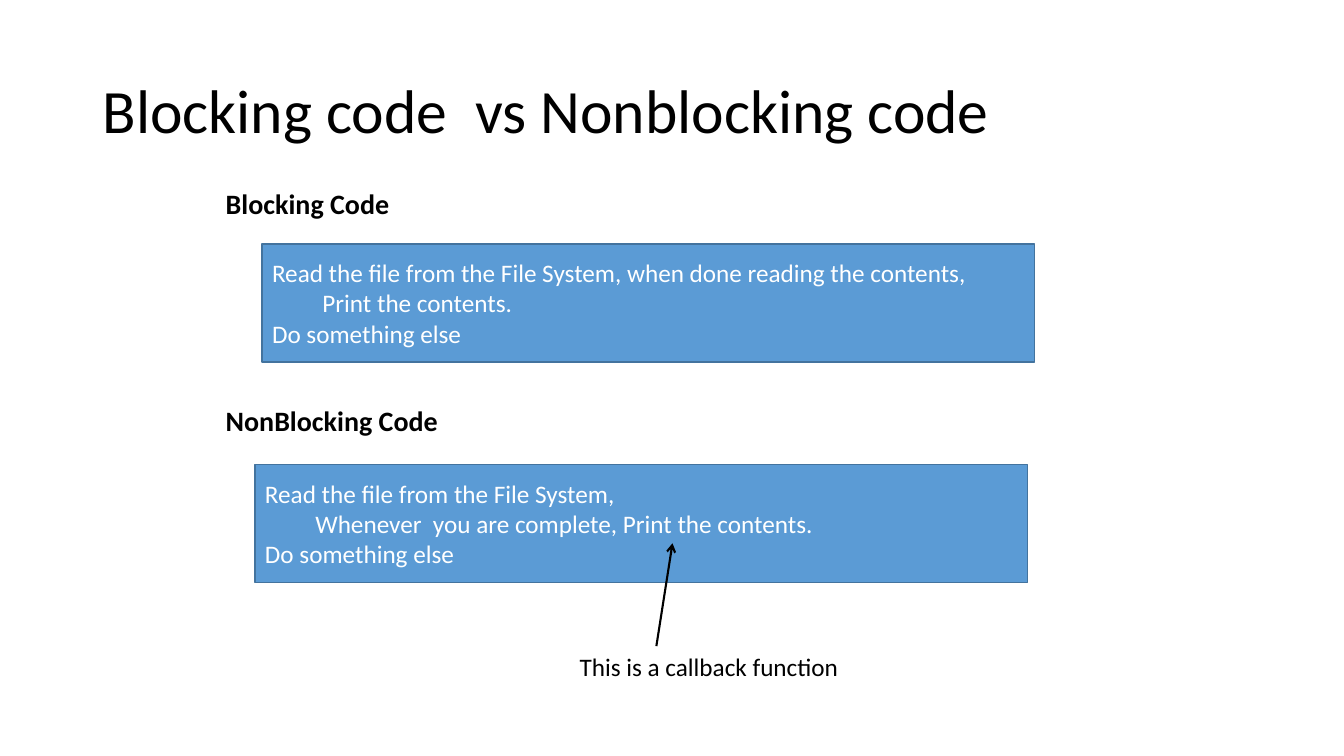
from dataclasses import dataclass

from lxml import etree
from pptx import Presentation
from pptx.dml.color import RGBColor
from pptx.enum.shapes import MSO_CONNECTOR, MSO_SHAPE
from pptx.enum.text import MSO_ANCHOR, MSO_AUTO_SIZE, PP_ALIGN
from pptx.oxml.ns import qn
from pptx.util import Inches, Pt

RECTANGLE = MSO_SHAPE.RECTANGLE
STRAIGHT = MSO_CONNECTOR.STRAIGHT
MIDDLE, TOP = MSO_ANCHOR.MIDDLE, MSO_ANCHOR.TOP
LEFT = PP_ALIGN.LEFT
NO_AUTOFIT = MSO_AUTO_SIZE.NONE


@dataclass(frozen=True)
class Theme:
    font: str = "Calibri"
    ink: RGBColor = RGBColor(0x00, 0x00, 0x00)
    box_text: RGBColor = RGBColor(0xFF, 0xFF, 0xFF)
    box_fill: RGBColor = RGBColor(0x5B, 0x9B, 0xD5)
    box_line: RGBColor = RGBColor(0x43, 0x73, 0x9E)
    title_size: int = 44
    heading_size: int = 20
    body_size: int = 18


theme = Theme()


def write_text(shape, lines, size, color, anchor=TOP, bold=False):
    text_frame = shape.text_frame
    text_frame.text = "\n".join(lines)
    text_frame.word_wrap = True
    text_frame.auto_size = NO_AUTOFIT
    text_frame.vertical_anchor = anchor
    for paragraph in text_frame.paragraphs:
        paragraph.alignment = LEFT
        for run in paragraph.runs:
            run.font.name = theme.font
            run.font.size = Pt(size)
            run.font.bold = bold
            run.font.color.rgb = color


def inches(*lengths):
    return [Inches(length) for length in lengths]


presentation = Presentation()
presentation.slide_width, presentation.slide_height = inches(13.33, 7.5)
slide = presentation.slides.add_slide(presentation.slide_layouts.get_by_name("Title Only"))
shapes = slide.shapes

# Title
title = shapes.title
title.left, title.top, title.width, title.height = inches(0.92, 0.4, 11.5, 1.45)
write_text(title, ["Blocking code  vs Nonblocking code"], theme.title_size, theme.ink, MIDDLE)
title.text_frame.paragraphs[0].line_spacing = 0.9

# Both headings share one text box, spaced around the first code box
headings = shapes.add_textbox(*inches(2.14, 1.8, 8.91, 2.59))
write_text(headings, ["Blocking Code", "NonBlocking Code"],
           theme.heading_size, theme.ink, bold=True)
headings.text_frame.paragraphs[1].space_before = Pt(131)

# Code boxes
box_width, box_height = 7.66, 1.17
code_boxes = [
    (2.6, 2.42, ["Read the file from the File System, when done reading the contents,",
                 "\tPrint the contents.",
                 "Do something else"]),
    (2.53, 4.61, ["Read the file from the File System,",
                  "\tWhenever  you are complete, Print the contents.",
                  "Do something else"]),
]
for left, top, lines in code_boxes:
    code_box = shapes.add_shape(RECTANGLE, *inches(left, top, box_width, box_height))
    code_box.shadow.inherit = False
    code_box.fill.solid()
    code_box.fill.fore_color.rgb = theme.box_fill
    code_box.line.color.rgb = theme.box_line
    code_box.line.width = Pt(1)
    write_text(code_box, lines, theme.body_size, theme.box_text, MIDDLE)

# Callback note and its arrow
note = shapes.add_textbox(*inches(5.65, 6.41, 3.36, 0.4))
write_text(note, ["This is a callback function"], theme.body_size, theme.ink)

arrow = shapes.add_connector(STRAIGHT, *inches(6.51, 6.41, 6.67, 5.39))
arrow.line.color.rgb = theme.ink
arrow.line.width = Pt(1.5)
etree.SubElement(arrow.line._get_or_add_ln(), qn("a:tailEnd"), type="arrow")
etree.SubElement(arrow._element.spPr, qn("a:effectLst"))

presentation.save("out.pptx")
